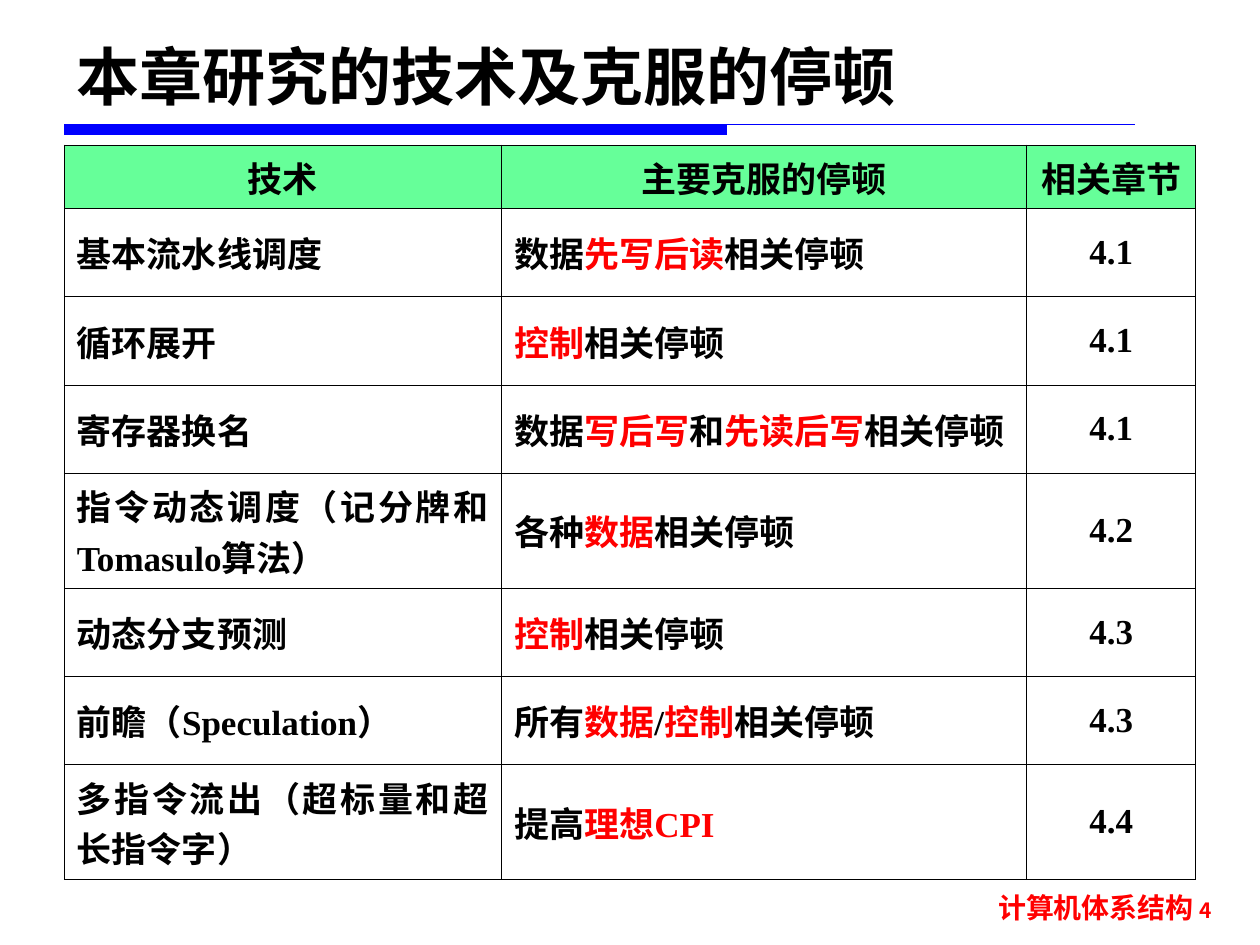
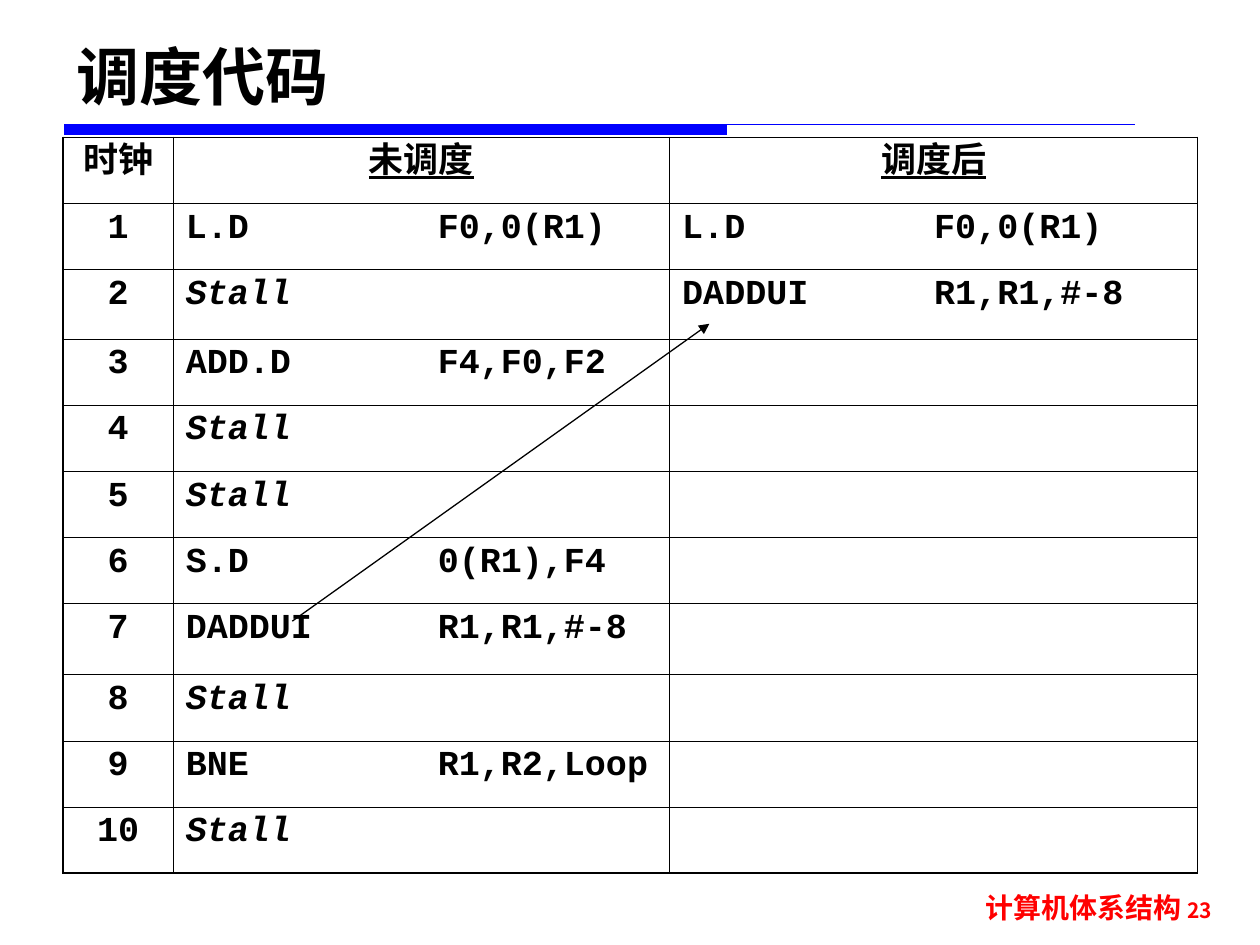
from itertools import groupby

from lxml.etree import SubElement
from pptx import Presentation
from pptx.dml.color import RGBColor
from pptx.enum.shapes import MSO_CONNECTOR as Connector, MSO_SHAPE as Shape
from pptx.enum.text import MSO_ANCHOR as Anchor, PP_ALIGN as Align
from pptx.oxml.ns import qn
from pptx.util import Emu, Inches, Pt

BLACK = RGBColor(0x00, 0x00, 0x00)
BLUE = RGBColor(0x00, 0x00, 0xFF)
RED = RGBColor(0xFF, 0x00, 0x00)
GREEN = RGBColor(0x66, 0xFF, 0x99)

TITLE_FONT = "DejaVu Sans"
CHINESE_FONT = "Noto Sans CJK SC"
LATIN_FONT = "Times New Roman"
CODE_FONT = "Courier New"

# The slide is a grid of 100 columns and 75 rows
COLUMNS, ROWS = 100, 75
CELL = Inches(0.1)
LEFT = 5.1
THIN, THICK = 0.45, 1.08

# "|" switches between black and red text
TECHNIQUES = [
    ("技术", "主要克服的停顿", "相关章节"),
    ("基本流水线调度", "数据|先写后读|相关停顿", "4.1"),
    ("循环展开", "|控制|相关停顿", "4.1"),
    ("寄存器换名", "数据|写后写|和|先读后写|相关停顿", "4.1"),
    ("指令动态调度（记分牌和Tomasulo算法）", "各种|数据|相关停顿", "4.2"),
    ("动态分支预测", "|控制|相关停顿", "4.3"),
    ("前瞻（Speculation）", "所有|数据|/|控制|相关停顿", "4.3"),
    ("多指令流出（超标量和超长指令字）", "提高|理想CPI", "4.4"),
]
STALL = "Stall"
UNSCHEDULED = ["L.D\t\tF0,0(R1)", STALL, "ADD.D\t\tF4,F0,F2", STALL, STALL,
               "S.D\t\t0(R1),F4", "DADDUI\tR1,R1,#-8", STALL,
               "BNE\t\tR1,R2,Loop", STALL]
SCHEDULED = ["L.D\t\tF0,0(R1)", "DADDUI\tR1,R1,#-8"]


def grid(*counts):
    """Turn counts of grid cells into lengths."""
    return [Emu(round(count * CELL)) for count in counts]


def add_span(para, text, font, size, color=BLACK, italic=False, underline=False):
    span = para.add_run()
    span.text = text
    style = span.font
    style.name, style.size, style.bold = font, Pt(size), True
    style.italic, style.underline = italic, underline
    style.color.rgb = color
    props = span._r.get_or_add_rPr()
    props.set("lang", "zh-CN")
    SubElement(props, qn("a:ea"), typeface=font)


def add_box(page, left, top, width, height, anchor, align):
    """Add a text box and return its first paragraph."""
    frame = page.shapes.add_textbox(*grid(left, top, width, height)).text_frame
    frame.word_wrap = True
    frame.vertical_anchor = anchor
    para = frame.paragraphs[0]
    para.alignment = align
    return para


def add_line(page, start, end, color, arrow=False):
    line = page.shapes.add_connector(Connector.STRAIGHT, *grid(*start, *end))
    line.line.color.rgb = color
    line.line.width = Pt(0.75)
    if arrow:
        SubElement(line.line._get_or_add_ln(), qn("a:tailEnd"), type="triangle")
    SubElement(line._element.spPr, qn("a:effectLst"))


def add_page(deck, title, number):
    """Add a slide with the shared title, band and footer."""
    page = deck.slides.add_slide(deck.slide_layouts[6])
    # Band below the title
    bar = page.shapes.add_shape(Shape.RECTANGLE, *grid(LEFT, 9.9, 52.6, 0.8))
    bar.shadow.inherit = False
    bar.fill.solid()
    bar.fill.fore_color.rgb = BLUE
    bar.line.fill.background()
    add_line(page, (LEFT, 9.9), (90.1, 9.9), BLUE)
    # Footer
    footer = add_box(page, 72.7, 70.2, 24.5, 4.3, Anchor.TOP, Align.RIGHT)
    add_span(footer, "计算机体系结构 ", CHINESE_FONT, 16, RED)
    add_span(footer, str(number), CHINESE_FONT, 12, RED)
    # Title
    heading = add_box(page, LEFT, 2.1, 86.6, 7.4, Anchor.BOTTOM, Align.LEFT)
    add_span(heading, title, TITLE_FONT, 36)
    return page


def add_grid_table(page, left, top, widths, heights, outer):
    """Add an unfilled table with thin inner borders and return it."""
    table = page.shapes.add_table(
        len(heights), len(widths),
        *grid(left, top, sum(widths), sum(heights))).table
    table.first_row = table.horz_banding = False
    for column, width in zip(table.columns, grid(*widths)):
        column.width = width
    for row, height in zip(table.rows, grid(*heights)):
        row.height = height
    last_row, last_column = len(heights) - 1, len(widths) - 1
    for r, row in enumerate(table.rows):
        for c, cell in enumerate(row.cells):
            edges = {"L": c == 0, "R": c == last_column,
                     "T": r == 0, "B": r == last_row}
            for side, is_outer in edges.items():
                add_border(cell, side, outer if is_outer else THIN)
            cell.fill.background()
    return table


def add_border(cell, side, points):
    props = cell._tc.get_or_add_tcPr()
    line = SubElement(props, qn(f"a:ln{side}"), w=str(Pt(points)))
    fill = SubElement(line, qn("a:solidFill"))
    SubElement(fill, qn("a:srgbClr"), val=str(BLACK))


def fill_technique(cell, text, align):
    cell.vertical_anchor = Anchor.MIDDLE
    para = cell.text_frame.paragraphs[0]
    para.alignment = align
    for index, part in enumerate(text.split("|")):
        color = RED if index % 2 else BLACK
        for is_latin, letters in groupby(part, str.isascii):
            font = LATIN_FONT if is_latin else CHINESE_FONT
            add_span(para, "".join(letters), font, 20, color)


def fill_code(cell, text, align=Align.LEFT, underline=False):
    para = cell.text_frame.paragraphs[0]
    # Operands line up at a tab stop every inch
    tabs = SubElement(para._p.get_or_add_pPr(), qn("a:tabLst"))
    for inch in (1, 2):
        SubElement(tabs, qn("a:tab"), pos=str(Inches(inch)), algn="l")
    para.alignment = align
    para.line_spacing = 0.9
    add_span(para, text, CODE_FONT, 20, italic=text == STALL, underline=underline)


def build_techniques(deck):
    page = add_page(deck, "本章研究的技术及克服的停顿", 4)
    heights = [5.05] + [9.13 if len(row[0]) > 15 else 7 for row in TECHNIQUES[1:]]
    table = add_grid_table(page, LEFT, 11.5, [34.7, 41.7, 13.4], heights, THIN)
    for r, row in enumerate(TECHNIQUES):
        for c, text in enumerate(row):
            cell = table.cell(r, c)
            centred = r == 0 or c == 2
            fill_technique(cell, text, Align.CENTER if centred else Align.JUSTIFY)
            if r == 0:
                cell.fill.solid()
                cell.fill.fore_color.rgb = GREEN


def build_schedule(deck):
    page = add_page(deck, "调度代码", 23)
    heights = [5.25] * (len(UNSCHEDULED) + 1)
    heights[2], heights[7] = 5.5, 5.67
    table = add_grid_table(page, 5, 10.9, [8.75, 39.4, 41.9], heights, THICK)
    # Header row
    for c, text in enumerate(("时钟", "未调度", "调度后")):
        fill_code(table.cell(0, c), text, Align.CENTER, underline=c > 0)
    # Clock numbers and instructions
    for clock, code in enumerate(UNSCHEDULED, 1):
        fill_code(table.cell(clock, 0), str(clock), Align.CENTER)
        fill_code(table.cell(clock, 1), code)
    for clock, code in enumerate(SCHEDULED, 1):
        fill_code(table.cell(clock, 2), code)
    # Move of DADDUI into the second clock
    add_line(page, (23.2, 49.3), (56.3, 25.7), BLACK, arrow=True)


def main():
    deck = Presentation()
    deck.slide_width, deck.slide_height = grid(COLUMNS, ROWS)
    build_techniques(deck)
    build_schedule(deck)
    deck.save("out.pptx")


if __name__ == "__main__":
    main()
